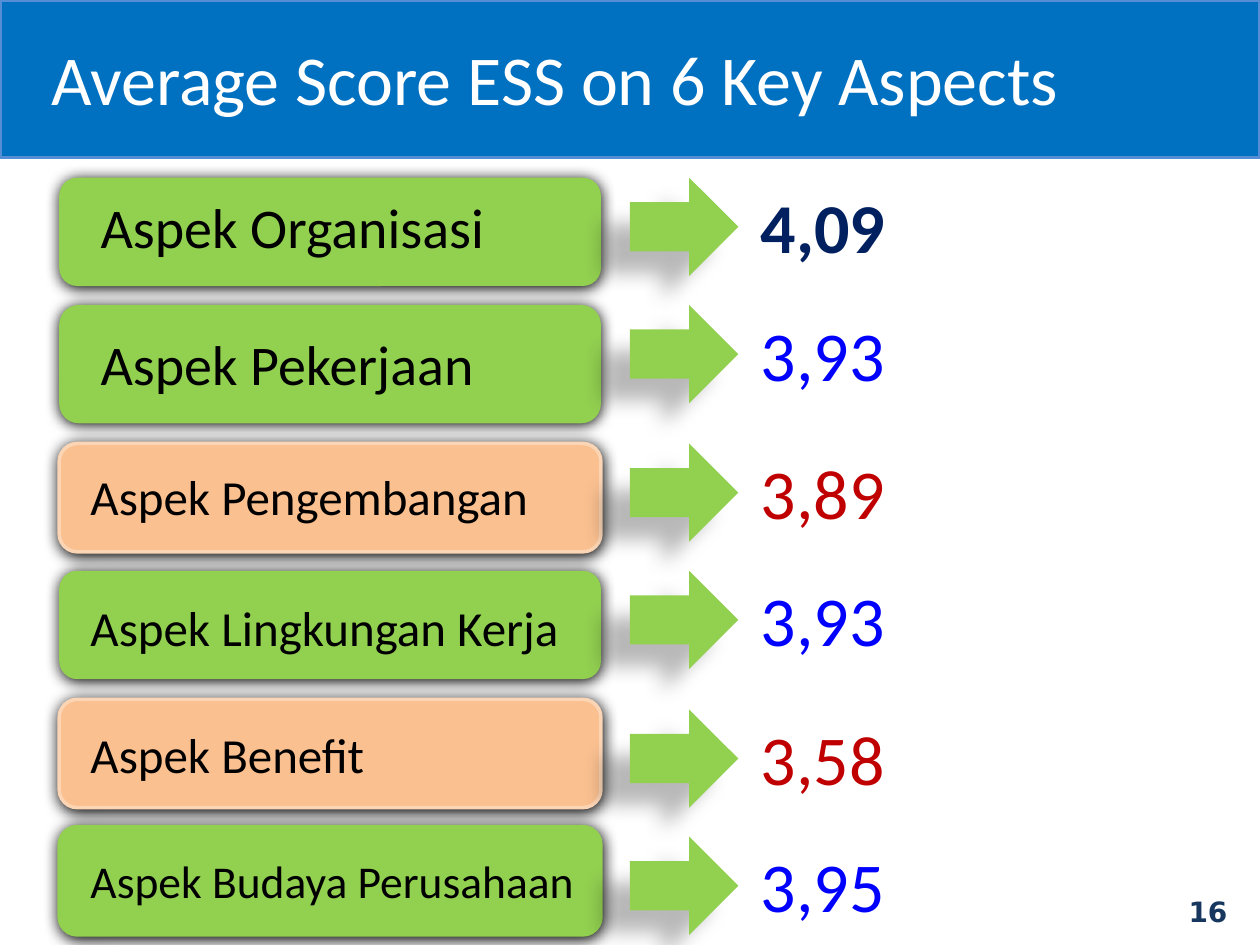
import pptx
import pptx.util
import pptx.dml.color
import pptx.enum.shapes
import pptx.enum.text
import pptx.oxml.ns
import lxml.etree

Pt = pptx.util.Pt
RGB = pptx.dml.color.RGBColor.from_string
KIND = pptx.enum.shapes.MSO_SHAPE
ALIGN = pptx.enum.text.PP_ALIGN
qn = pptx.oxml.ns.qn

HUE = {
    "blue": "0070C0", "edge": "558ED5", "green": "92D050",
    "peach": "FAC090", "rim": "FCD5B5", "white": "FFFFFF",
    "black": "000000", "navy": "002060", "high": "0000FF",
    "low": "C00000", "page": "17375E",
}

deck = pptx.Presentation()
deck.slide_width = pptx.util.Inches(10)
deck.slide_height = pptx.util.Inches(7.5)
slide = deck.slides.add_slide(deck.slide_layouts[6])
COL = deck.slide_width / 100
ROW = deck.slide_height / 100


def add_block(kind, x, y, w, h, fill, line=None, wide=2, shade=None):
    """Shape on the 100 x 100 grid; shade is (alpha %, blur pt, offset pt, degrees)."""
    block = slide.shapes.add_shape(
        kind, int(x * COL), int(y * ROW), int(w * COL), int(h * ROW))
    block.shadow.inherit = False
    block.fill.solid()
    block.fill.fore_color.rgb = RGB(HUE[fill])
    if line:
        block.line.color.rgb = RGB(HUE[line])
        block.line.width = Pt(wide)
    else:
        block.line.fill.background()
    if shade:
        alpha, blur, gap, turn = shade
        effects = block._element.spPr.find(qn("a:effectLst"))
        outer = lxml.etree.SubElement(
            effects, qn("a:outerShdw"), blurRad=str(Pt(blur)), dist=str(Pt(gap)),
            dir=str(turn * 60000), algn="ctr", rotWithShape="0")
        tint = lxml.etree.SubElement(outer, qn("a:srgbClr"), val=HUE["black"])
        lxml.etree.SubElement(tint, qn("a:alpha"), val=str(alpha * 1000))


def add_text(words, x, y, w, h, size, hue, bold=False, font="Calibri", align=ALIGN.LEFT):
    box = slide.shapes.add_textbox(
        int(x * COL), int(y * ROW), int(w * COL), int(h * ROW))
    frame = box.text_frame
    frame.word_wrap = True
    frame.auto_size = pptx.enum.text.MSO_AUTO_SIZE.SHAPE_TO_FIT_TEXT
    frame.paragraphs[0].alignment = align
    run = frame.paragraphs[0].add_run()
    run.text = words
    run.font.name = font
    run.font.size = Pt(size)
    run.font.bold = bold
    run.font.color.rgb = RGB(HUE[hue])


add_block(KIND.RECTANGLE, 0, 0, 100, 16.67, "blue", "edge")
add_text("Average Score ESS on 6 Key Aspects", 3.1, 3.07, 91.4, 10.27, 40, "white")

# name, score, score hue, card top, card height, label left, label top,
# label size, arrow top, card fill, card line
aspects = [
    ("Organisasi", "4,09", "navy", 18.8, 11.47, 7, 19.73, 32, 18.8, "green", None),
    ("Pekerjaan", "3,93", "high", 32.27, 12.53, 7, 34.27, 32, 32.27, "green", None),
    ("Pengembangan", "3,89", "low", 46.93, 11.47, 6.2, 48.67, 28, 46.93, "peach", "rim"),
    ("Lingkungan Kerja", "3,93", "high", 60.4, 11.47, 6.2, 62.53, 28, 60.4, "green", None),
    ("Benefit", "3,58", "low", 74, 11.47, 6.2, 76, 28, 75.07, "peach", "rim"),
    ("Budaya Perusahaan", "3,95", "high", 87.47, 11.47, 6.2, 89.6, 26, 88.53, "green", "green"),
]
for name, score, hue, top, tall, left, base, size, tip, fill, line in aspects:
    add_block(KIND.ROUNDED_RECTANGLE, 4.7, top, 43, tall, fill, line,
              shade=(100, 8.5, 1, 90))
    add_text("Aspek " + name, left, base, 43, size * 0.27, size, "black")
    add_block(KIND.RIGHT_ARROW, 50, tip, 8.6, 10.4, "green",
              shade=(28, 11.8, 19.7, 141))
    add_text(score, 59.4, tip, 18.8, 10.27, 40, hue, bold=hue == "navy")

add_text("16", 88.3, 94, 10.1, 4.93, 16, "page", True, "DejaVu Sans", ALIGN.RIGHT)

deck.save("out.pptx")
